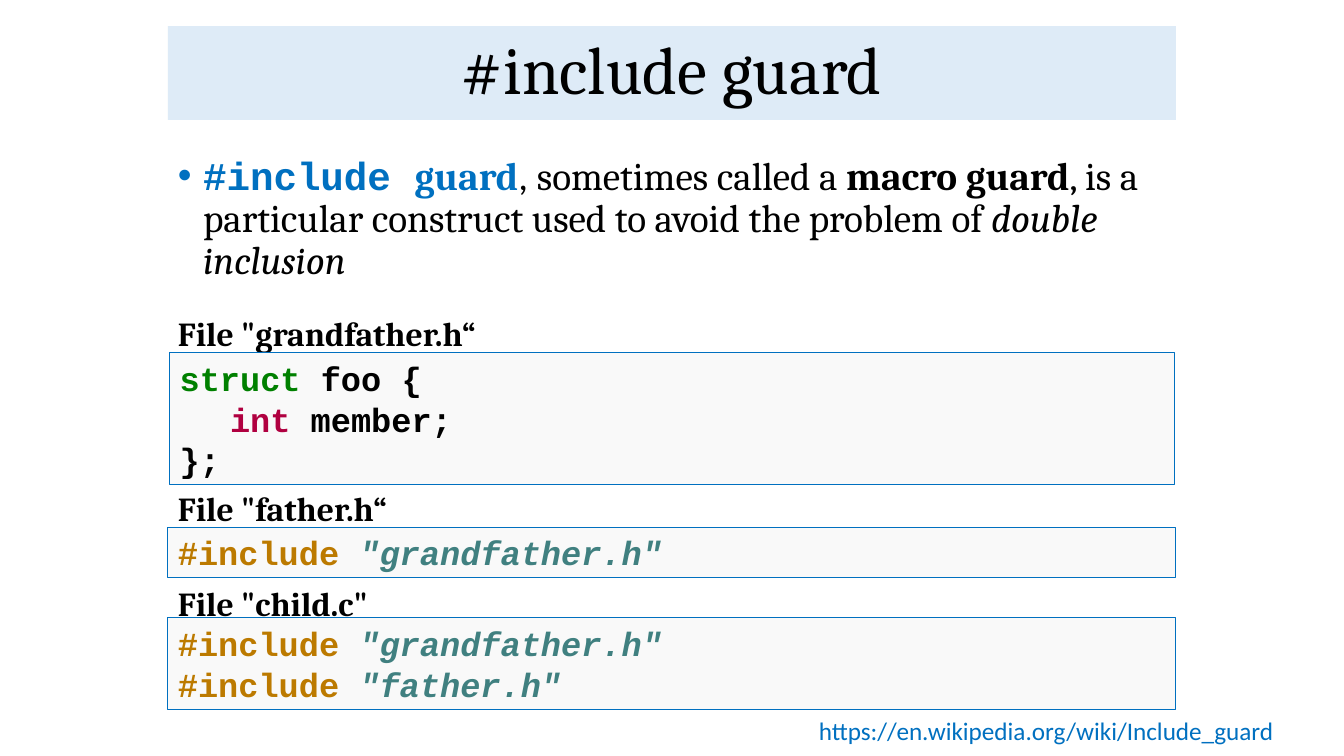
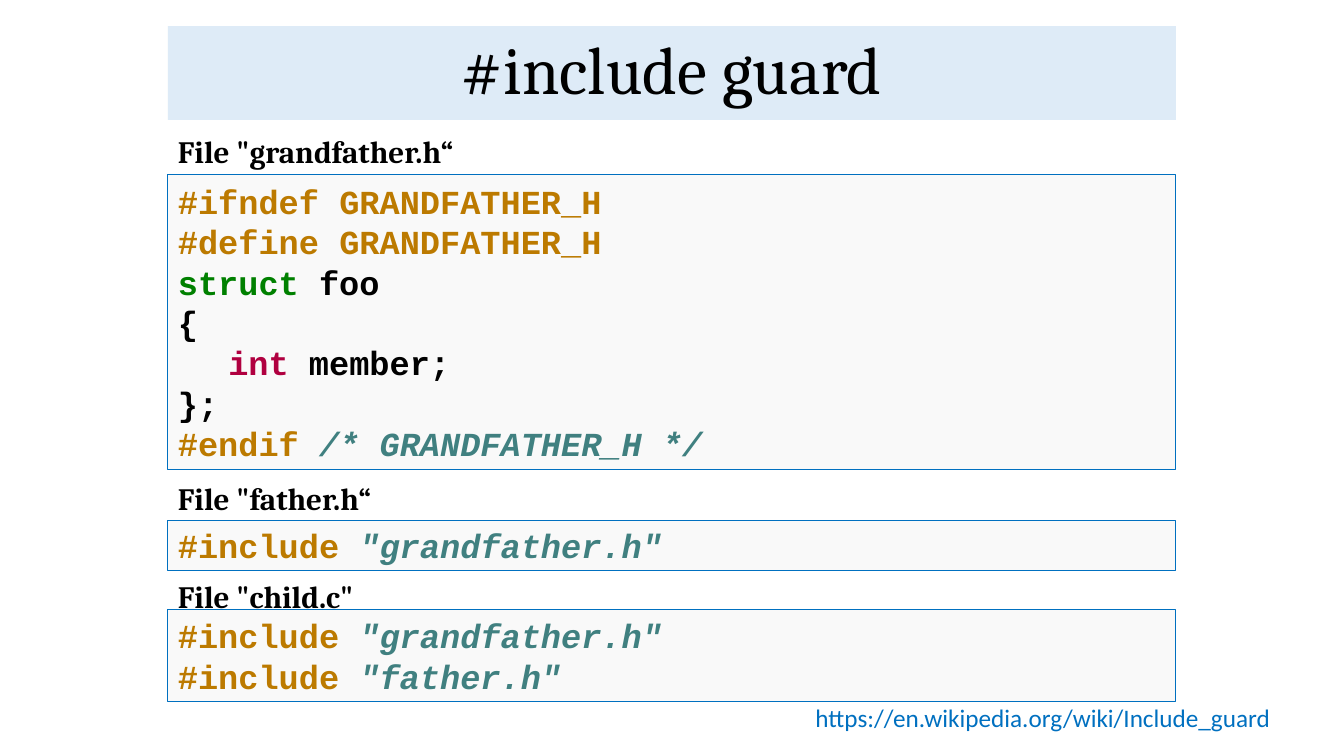
from pptx import Presentation
from pptx.dml.color import RGBColor
from pptx.enum.shapes import MSO_SHAPE
from pptx.enum.text import MSO_ANCHOR, PP_ALIGN
from pptx.oxml import parse_xml
from pptx.oxml.ns import nsdecls
from pptx.util import Inches, Pt

COLORS = {
    "text": "000000", "accent": "0070C0", "band": "DEEBF7", "panel": "F9F9F9",
    "directive": "BC7A00", "string": "408080", "keyword": "008000", "type": "B00040",
}
SERIF, SANS, MONO = "Cambria", "Calibri", "Courier New"
COLUMNS, ROWS = 16, 30
MARGIN = 2
URL = "https://en.wikipedia.org/wiki/Include_guard"


def rgb(name):
    return RGBColor.from_string(COLORS[name])


def write(frame, paragraphs, size, font=SERIF, color="text", bold=False, italic=False,
          align=PP_ALIGN.LEFT, spacing=1.0, anchor=MSO_ANCHOR.MIDDLE, wrap=True, bullet=False):
    """Fill a frame; a paragraph is a string or a list of (text, overrides) runs."""
    frame.word_wrap = wrap
    frame.vertical_anchor = anchor
    for index, content in enumerate(paragraphs):
        paragraph = frame.add_paragraph() if index else frame.paragraphs[0]
        paragraph.alignment = align
        paragraph.line_spacing = spacing
        if bullet:
            properties = paragraph._p.get_or_add_pPr()
            properties.set("marL", str(Inches(0.25)))
            properties.set("indent", str(-Inches(0.25)))
            properties.append(parse_xml(f'<a:buFont {nsdecls("a")} typeface="Arial"/>'))
            properties.append(parse_xml(f'<a:buChar {nsdecls("a")} char="•"/>'))
        runs = [(content, {})] if isinstance(content, str) else content
        for text, overrides in runs:
            style = {"font": font, "color": color, "bold": bold, "italic": italic} | overrides
            run = paragraph.add_run()
            run.text = text
            run.font.size = Pt(size)
            run.font.name = style["font"]
            run.font.bold = style["bold"]
            run.font.italic = style["italic"]
            run.font.color.rgb = rgb(style["color"])


class Deck:
    """Places elements on the current slide, in grid columns and rows."""

    def __init__(self):
        self.show = Presentation()
        self.show.slide_width = Inches(13.33)
        self.show.slide_height = Inches(7.5)
        self.slide = None

    def area(self, left, top, width, height):
        column = self.show.slide_width / COLUMNS
        row = self.show.slide_height / ROWS
        return [round(v) for v in (left * column, top * row, width * column, height * row)]

    def panel(self, left, top, height, fill, line=None):
        panel = self.slide.shapes.add_shape(
            MSO_SHAPE.RECTANGLE, *self.area(left, top, COLUMNS - 2 * left, height))
        panel.shadow.inherit = False
        panel.fill.solid()
        panel.fill.fore_color.rgb = rgb(fill)
        if line:
            panel.line.color.rgb = rgb(line)
            panel.line.width = Pt(0.75)
        else:
            panel.line.fill.background()
        return panel.text_frame

    def text(self, paragraphs, left, top, width, height, **style):
        box = self.slide.shapes.add_textbox(*self.area(left, top, width, height))
        write(box.text_frame, paragraphs, **style)

    def start(self, title):
        self.slide = self.show.slides.add_slide(self.show.slide_layouts[6])
        write(self.panel(MARGIN, 1.04, 3.72, "band"), [title], size=48,
              align=PP_ALIGN.CENTER, spacing=0.9)

    def definition(self, runs, top):
        self.text([runs], MARGIN, top, COLUMNS - 2 * MARGIN, 6, size=28, spacing=0.9,
                  anchor=MSO_ANCHOR.TOP, bullet=True)

    def file(self, label, label_top, code, code_top, label_size, left=MARGIN):
        """Put a file name above its panel of code, whose height follows the line count."""
        self.text([label], MARGIN, label_top, COLUMNS - 2 * MARGIN, 1.6,
                  size=label_size, bold=True)
        frame = self.panel(left, code_top, 0.38 + 1.62 * len(code), "panel", "accent")
        write(frame, code, size=24, font=MONO, bold=True)

    def source(self, left, top):
        self.text([URL], left, top, 5.72, 1.6, size=18, font=SANS, color="accent", wrap=False)


def directive(text):
    return text, {"color": "directive"}


def quoted(text):
    return text, {"color": "string", "italic": True}


def include(name):
    return [directive("#include "), quoted(f'"{name}"')]


STRUCT = ("struct ", {"color": "keyword"})
MEMBER = [("\t", {}), ("int ", {"color": "type"}), ("member;", {})]
FATHER = [include("grandfather.h")]
CHILD = [include("grandfather.h"), include("father.h")]
UNGUARDED = [[STRUCT, ("foo {", {})], MEMBER, "};"]
GUARDED = [
    [directive("#ifndef GRANDFATHER_H")],
    [directive("#define GRANDFATHER_H")],
    [STRUCT, ("foo", {})],
    "{",
    MEMBER,
    "};",
    [directive("#endif "), quoted("/* GRANDFATHER_H */")],
]
DEFINITION = [
    ("#include ", {"font": MONO, "color": "accent", "bold": True}),
    ("guard", {"color": "accent", "bold": True}),
    (", ", {"font": SANS}),
    ("sometimes called a ", {}),
    ("macro guard", {"bold": True}),
    (", is a particular construct used to avoid the problem of ", {}),
    ("double inclusion", {"italic": True}),
]


def main():
    deck = Deck()

    deck.start("#include guard")
    deck.definition(DEFINITION, 6)
    deck.file('File "grandfather.h“', 12.4, UNGUARDED, 14, 24, left=2.02)
    deck.file('File "father.h“', 19.36, FATHER, 20.92, 24)
    deck.file('File "child.c"', 23.12, CHILD, 24.52, 24)
    deck.source(9.63, 28.2)

    deck.start("#include guard")
    deck.file('File "grandfather.h“', 5.2, GUARDED, 6.92, 22.2)
    deck.file('File "father.h“', 18.96, FATHER, 20.64, 22.2)
    deck.file('File "child.c"', 22.84, CHILD, 24.2, 22.2)
    deck.source(9.59, 27.68)

    deck.show.save("out.pptx")


if __name__ == "__main__":
    main()
